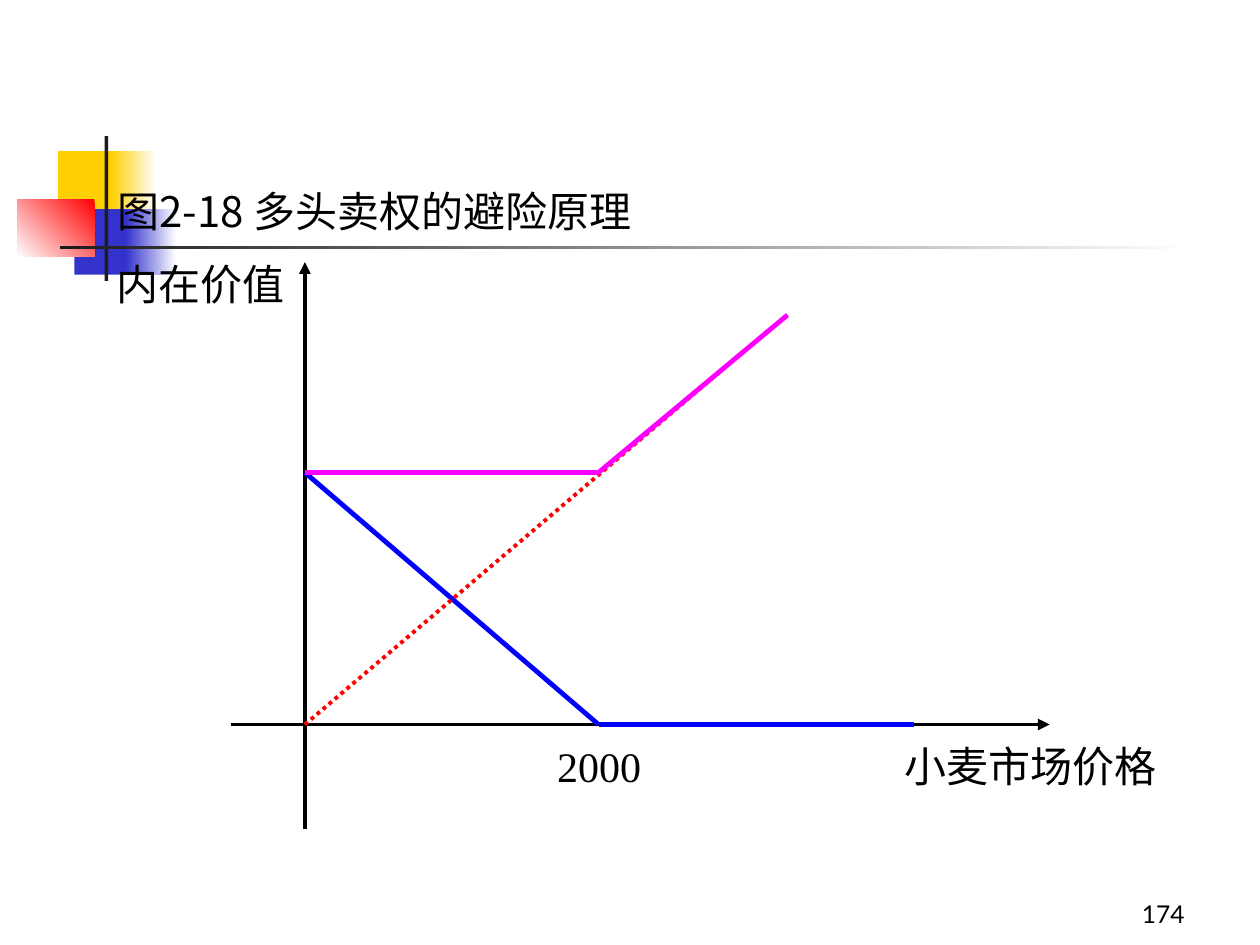
from lxml import etree
from pptx import Presentation
from pptx.dml.color import RGBColor
from pptx.enum.dml import MSO_LINE
from pptx.enum.shapes import MSO_CONNECTOR as CONNECTOR, MSO_SHAPE as SHAPE
from pptx.enum.text import MSO_ANCHOR as ANCHOR, MSO_AUTO_SIZE as AUTO_SIZE, PP_ALIGN as ALIGN
from pptx.oxml.ns import qn
from pptx.util import Inches, Pt

CHINESE_FONT = "Noto Sans CJK SC"
BLACK, WHITE, DARK = "000000", "FFFFFF", "1C1C1C"
YELLOW, NAVY, RED = "FFCF01", "3333CC", "FF0000"
BLUE, MAGENTA = "0000FF", "FF00FF"

AXIS_X, AXIS_Y = 2.42, 5.75
STRIKE_X, FLOOR_Y = 4.75, 3.75
ORIGIN = (AXIS_X, AXIS_Y)
FLOOR = (AXIS_X, FLOOR_Y)


def rgb(color):
    """Turn a hex string into a colour."""
    return RGBColor.from_string(color)


def add_block(slide, box, color, fade_to=None, angle=180):
    """Add a borderless rectangle, solid or fading between two colours."""
    shape = slide.shapes.add_shape(SHAPE.RECTANGLE, *map(Inches, box))
    shape.shadow.inherit = False
    shape.line.fill.background()
    if fade_to is None:
        shape.fill.solid()
        shape.fill.fore_color.rgb = rgb(color)
    else:
        shape.fill.gradient()
        shape.fill.gradient_angle = angle
        for stop, stop_color in zip(shape.fill.gradient_stops, (color, fade_to)):
            stop.color.rgb = rgb(stop_color)


def add_line(slide, start, end, color, width, dash=None, arrow=False):
    """Add a straight line, optionally dashed or with an arrowhead at its end."""
    connector = slide.shapes.add_connector(
        CONNECTOR.STRAIGHT, *map(Inches, (*start, *end)))
    connector.line.color.rgb = rgb(color)
    connector.line.width = Pt(width)
    if dash is not None:
        connector.line.dash_style = dash
    properties = connector._element.spPr
    if arrow:
        etree.SubElement(properties.find(qn("a:ln")), qn("a:tailEnd"), type="triangle")
    etree.SubElement(properties, qn("a:effectLst"))


def write_text(shape, text, font, size=24, align=ALIGN.LEFT, anchor=ANCHOR.TOP):
    """Write one formatted run into a shape."""
    frame = shape.text_frame
    frame.word_wrap = True
    frame.auto_size = AUTO_SIZE.NONE
    frame.vertical_anchor = anchor
    paragraph = frame.paragraphs[0]
    paragraph.alignment = align
    run = paragraph.add_run()
    run.text = text
    run.font.name = font
    run.font.size = Pt(size)
    run.font.color.rgb = rgb(BLACK)
    etree.SubElement(run.font._element, qn("a:ea"), typeface=CHINESE_FONT)


def add_label(slide, box, text, font="Lato", **style):
    """Add a text box holding one label."""
    write_text(slide.shapes.add_textbox(*map(Inches, box)), text, font, **style)


def add_title(slide, box, text):
    """Place the title placeholder in front of the decoration."""
    title = slide.shapes.title
    title.left, title.top, title.width, title.height = map(Inches, box)
    write_text(title, text, CHINESE_FONT)
    slide.shapes.element.append(title._element)


def add_decoration(slide):
    """Add the coloured blocks and crossing bars behind the title."""
    add_block(slide, (0.46, 1.2, 0.48, 0.52), YELLOW)
    add_block(slide, (0.88, 1.2, 0.36, 0.52), WHITE, YELLOW)
    add_block(slide, (0.59, 1.66, 0.46, 0.52), NAVY)
    add_block(slide, (1, 1.66, 0.4, 0.52), WHITE, NAVY)
    add_block(slide, (0.14, 1.58, 0.61, 0.46), RED, WHITE, angle=225)
    add_block(slide, (0.83, 1.08, 0.03, 1.15), DARK)
    add_block(slide, (0.48, 1.95, 9, 0.03), WHITE, DARK)


def add_payoff_diagram(slide):
    """Draw the axes, the put, the wheat and the hedged position."""
    add_line(slide, (1.83, AXIS_Y), (8.33, AXIS_Y), BLACK, 2.25, arrow=True)
    add_line(slide, (AXIS_X, 6.58), (AXIS_X, 2.08), BLACK, 2.25, arrow=True)
    add_line(slide, FLOOR, (STRIKE_X, AXIS_Y), BLUE, 2.75)
    add_line(slide, (STRIKE_X, AXIS_Y), (7.25, AXIS_Y), BLUE, 2.75)
    add_line(slide, ORIGIN, (5.75, 2.92), RED, 2.25, dash=MSO_LINE.ROUND_DOT)
    add_line(slide, FLOOR, (STRIKE_X, FLOOR_Y), MAGENTA, 2.75)
    add_line(slide, (STRIKE_X, FLOOR_Y), (6.25, 2.5), MAGENTA, 2.75)
    add_label(slide, (0.83, 2, 1.67, 0.5), "内在价值")
    add_label(slide, (4.17, 5.83, 1.17, 0.5), "2000", "Times New Roman",
              align=ALIGN.CENTER)
    add_label(slide, (7.08, 5.83, 2.33, 0.5), "小麦市场价格")


def main():
    """Build and save the slide."""
    presentation = Presentation()
    presentation.slide_width, presentation.slide_height = Inches(10), Inches(7.5)
    slide = presentation.slides.add_slide(presentation.slide_layouts[5])
    add_decoration(slide)
    add_payoff_diagram(slide)
    add_title(slide, (0.83, 1.42, 5.5, 0.5), "图2-18 多头卖权的避险原理")
    add_label(slide, (7.42, 6.92, 2.08, 0.5), "174", size=14,
              align=ALIGN.RIGHT, anchor=ANCHOR.BOTTOM)
    presentation.save("out.pptx")


if __name__ == "__main__":
    main()
